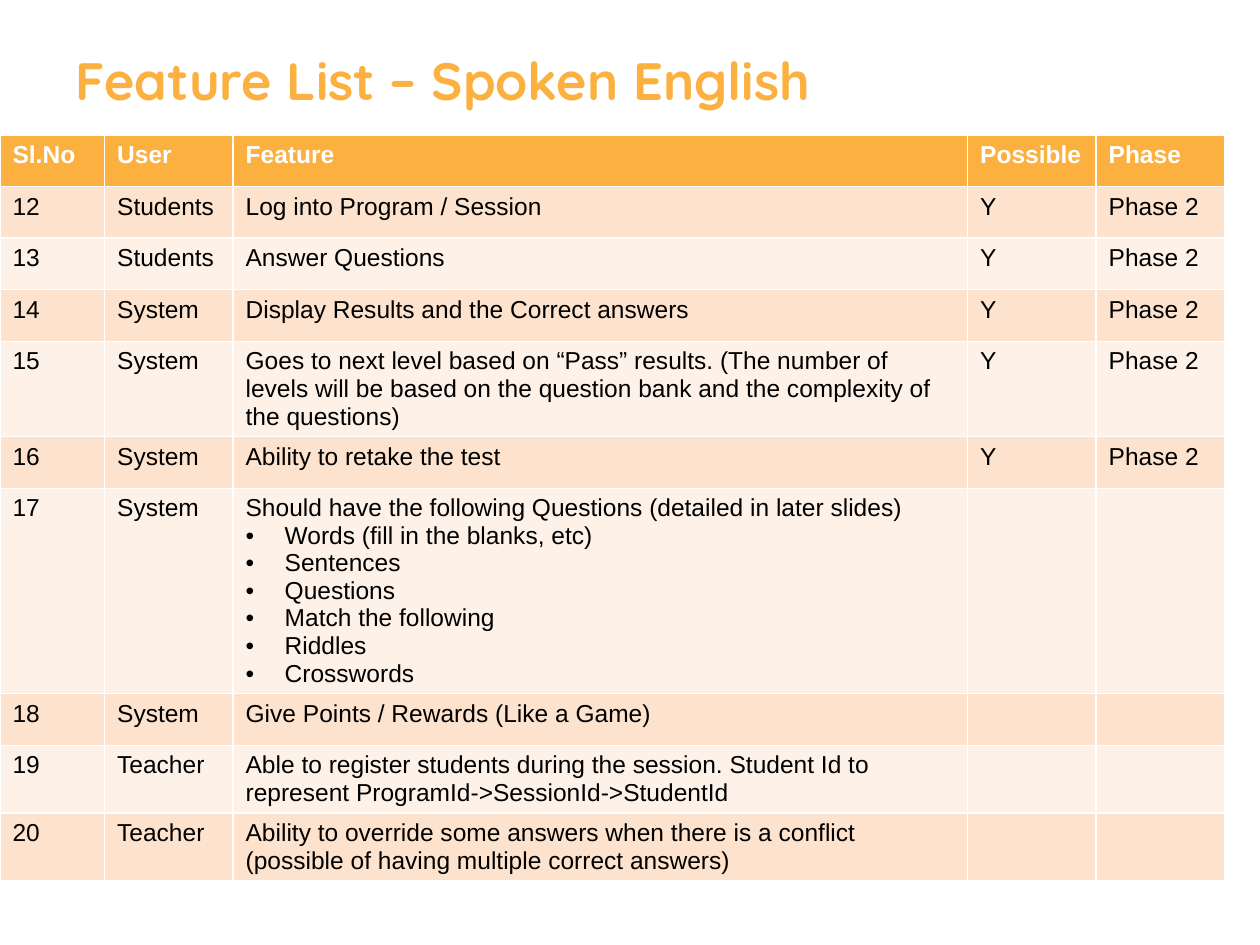
from dataclasses import dataclass

from lxml import etree
from pptx import Presentation
from pptx.dml.color import RGBColor
from pptx.enum import text as t
from pptx.oxml import ns
from pptx.util import Inches, Pt

AMBER = RGBColor(0xFB, 0xB0, 0x40)
PEACH = RGBColor(0xFD, 0xE3, 0xCD)
CREAM = RGBColor(0xFE, 0xF2, 0xE8)
WHITE = RGBColor(0xFF, 0xFF, 0xFF)
BLACK = RGBColor(0x00, 0x00, 0x00)

WIDTHS = [0.83, 1.02, 5.83, 1.02, 1.02]
ROW_HEIGHT = 0.41
HEADS = ("Sl.No", "User", "Feature", "Possible", "Phase")
FIRST = 12


@dataclass
class Feature:
    user: str
    text: str
    able: str = ""
    phase: str = ""
    items: tuple[str, ...] = ()


FEATURES = [
    Feature("Students", "Log into Program / Session", "Y", "Phase 2"),
    Feature("Students", "Answer Questions", "Y", "Phase 2"),
    Feature("System", "Display Results and the Correct answers", "Y", "Phase 2"),
    Feature("System", "Goes to next level based on “Pass” results. (The number of levels "
            "will be based on the question bank and the complexity of the questions)",
            "Y", "Phase 2"),
    Feature("System", "Ability to retake the test", "Y", "Phase 2"),
    Feature("System", "Should have the following Questions (detailed in later slides)",
            items=("Words (fill in the blanks, etc)", "Sentences", "Questions",
                   "Match the following", "Riddles", "Crosswords")),
    Feature("System", "Give Points / Rewards (Like a Game)"),
    Feature("Teacher", "Able to register students during the session. Student Id to "
            "represent ProgramId->SessionId->StudentId"),
    Feature("Teacher", "Ability to override some answers when there is a conflict "
            "(possible of having multiple correct answers)"),
]


def style(para, font: str, size: int, color: RGBColor, bold: bool) -> None:
    for run in para.runs:
        run.font.name = font
        run.font.size = Pt(size)
        run.font.bold = bold
        run.font.color.rgb = color


def bullet(para) -> None:
    props = para._p.get_or_add_pPr()
    props.set("marL", str(Inches(0.31)))
    props.set("indent", str(-Inches(0.31)))
    etree.SubElement(props, ns.qn("a:buFont")).set("typeface", "Arial")
    etree.SubElement(props, ns.qn("a:buChar")).set("char", "•")


def fill_row(cells, texts: tuple[str, ...], fill: RGBColor, color: RGBColor,
             bold: bool = False) -> None:
    for cell, words in zip(cells, texts):
        cell.fill.solid()
        cell.fill.fore_color.rgb = fill
        cell.text_frame.text = words
        for para in cell.text_frame.paragraphs:
            style(para, "Arial", 14, color, bold)
        # Lines after the first are list items
        for para in cell.text_frame.paragraphs[1:]:
            bullet(para)


def main() -> None:
    deck = Presentation()
    deck.slide_width, deck.slide_height = Inches(10), Inches(7.5)
    slide = deck.slides.add_slide(deck.slide_layouts[5])

    # Title
    title = slide.shapes.title
    title.left, title.top = Inches(0.5), Inches(0.29)
    title.width, title.height = Inches(9), Inches(0.69)
    frame = title.text_frame
    frame.text = "Feature List – Spoken English"
    frame.vertical_anchor = t.MSO_ANCHOR.MIDDLE
    frame.paragraphs[0].alignment = t.PP_ALIGN.LEFT
    style(frame.paragraphs[0], "Quicksand", 30, AMBER, True)

    # Feature table
    count = len(FEATURES) + 1
    table = slide.shapes.add_table(
        count, len(WIDTHS), Inches(0), Inches(1.07),
        Inches(sum(WIDTHS)), Inches(ROW_HEIGHT * count)).table
    for col, width in zip(table.columns, WIDTHS):
        col.width = Inches(width)
    for row in table.rows:
        row.height = Inches(ROW_HEIGHT)

    fill_row(table.rows[0].cells, HEADS, AMBER, WHITE, bold=True)
    for i, feat in enumerate(FEATURES):
        words = "\n".join((feat.text, *feat.items))
        texts = (str(FIRST + i), feat.user, words, feat.able, feat.phase)
        fill_row(table.rows[i + 1].cells, texts, CREAM if i % 2 else PEACH, BLACK)

    deck.save("out.pptx")


if __name__ == "__main__":
    main()
